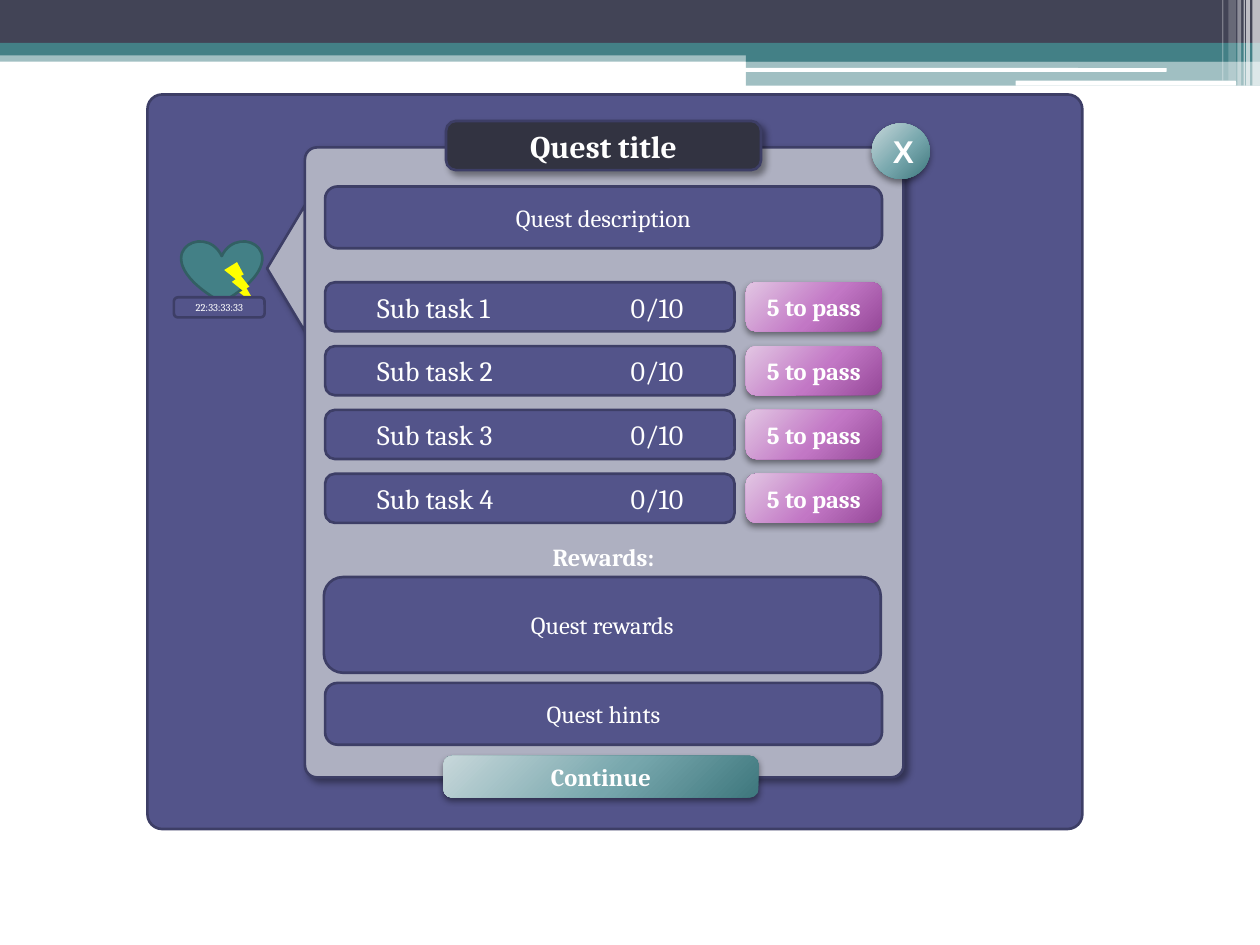
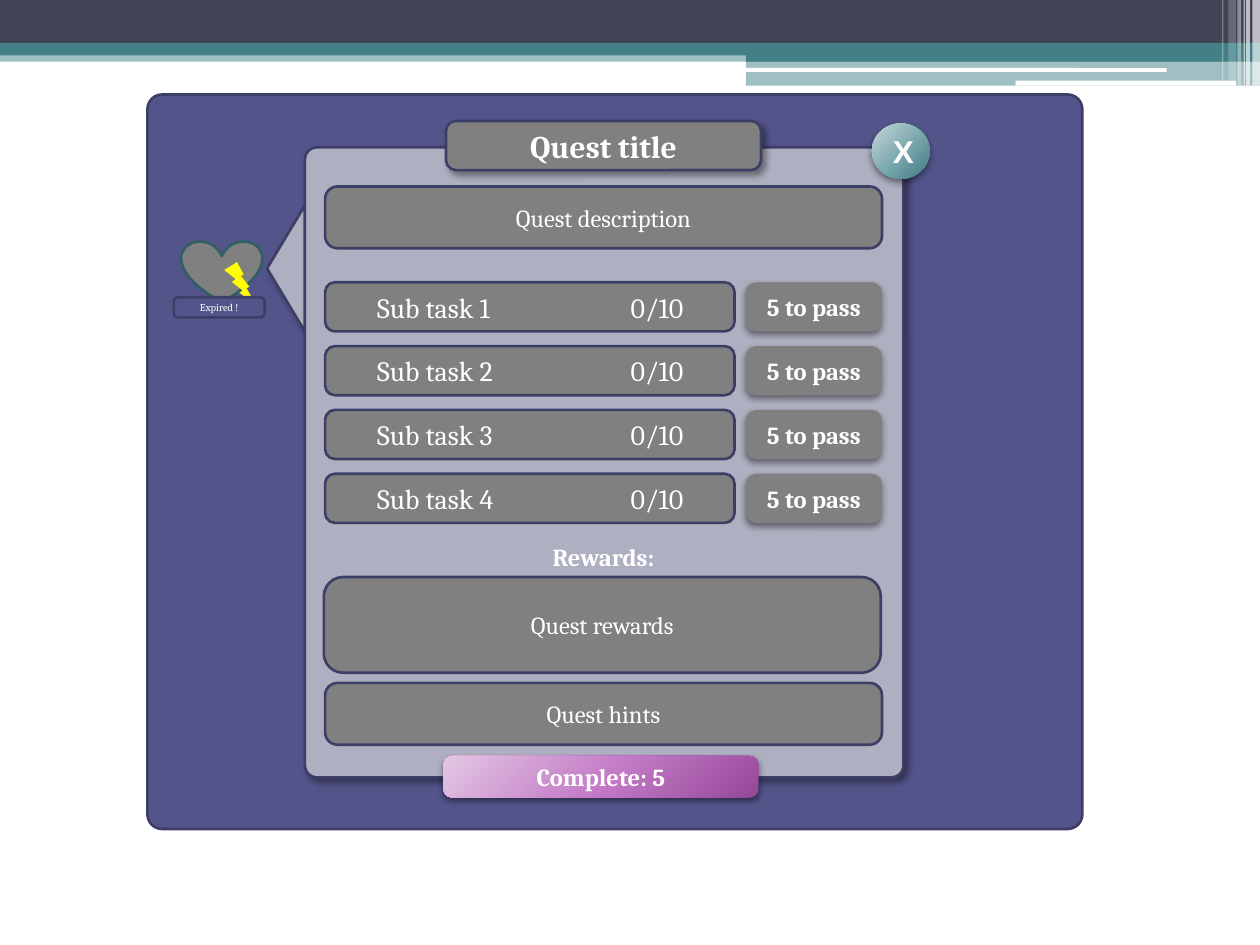
from dataclasses import dataclass
from typing import Optional, Union

from pptx import Presentation
from pptx.dml.color import RGBColor
from pptx.enum.shapes import MSO_SHAPE
from pptx.enum.text import MSO_ANCHOR, PP_ALIGN
from pptx.oxml import parse_xml
from pptx.oxml.ns import nsdecls, qn
from pptx.util import Inches, Pt

RECT = MSO_SHAPE.RECTANGLE
ROUND = MSO_SHAPE.ROUNDED_RECTANGLE
ELLIPSE = MSO_SHAPE.OVAL
TRIANGLE = MSO_SHAPE.ISOSCELES_TRIANGLE
HEART = MSO_SHAPE.HEART
BOLT = MSO_SHAPE.LIGHTNING_BOLT
MIDDLE = MSO_ANCHOR.MIDDLE
LEFT, CENTER = PP_ALIGN.LEFT, PP_ALIGN.CENTER

BLANK_LAYOUT = 6
Fill = Union[str, tuple[str, str, str], None]
Frame = tuple[float, float, float, float]


@dataclass(frozen=True)
class Theme:
    font: str = "Cambria"
    symbol_font: str = "Arial"
    white: str = "FFFFFF"
    black: str = "000000"
    slate: str = "424456"
    dark: str = "323341"
    indigo: str = "53548A"
    border: str = "3D3E66"
    panel: str = "AEB0C1"
    teal: str = "438086"
    teal_border: str = "325F63"
    gray: str = "808080"
    yellow: str = "FFFF00"
    teal_gradient: tuple[str, str, str] = ("C7D7DA", "77A7AD", "3E777D")
    purple_gradient: tuple[str, str, str] = ("E2C6E3", "C277C5", "954898")
    title_size: int = 18
    task_size: int = 16
    body_size: int = 14
    timer_size: int = 6
    line_width: float = 1.5


T = Theme()


@dataclass(frozen=True)
class Shadow:
    """Alpha in percent, blur and distance in points, direction in degrees."""
    alpha: int
    blur: int
    distance: int
    direction: int


@dataclass(frozen=True)
class Label:
    text: str
    size: int
    bold: bool = False
    font: str = T.font


@dataclass(frozen=True)
class Box:
    at: Frame
    fill: Fill
    kind: MSO_SHAPE = ROUND
    line: Optional[str] = None
    adj: Optional[float] = None
    alpha: int = 100
    rotation: int = 0
    shadow: Optional[Shadow] = None
    label: Optional[Label] = None


@dataclass(frozen=True)
class QuestState:
    title_fill: str
    field_fill: str
    pass_fill: Fill
    heart_fill: str
    action: str
    action_fill: Fill
    timer: str


PANEL_SHADOW = Shadow(40, 4, 3, 45)
BUTTON_SHADOW = Shadow(45, 4, 2, 90)
PANEL_ADJ, FIELD_ADJ, BAR_ADJ = 0.02, 0.2, 0.17

TASK_COUNT = 4
FIRST_TASK_TOP, LAST_TASK_TOP = 2.24, 3.76
TASK_PITCH = (LAST_TASK_TOP - FIRST_TASK_TOP) / (TASK_COUNT - 1)
TASK_INDENT, SCORE_TAB = 0.39, 2.43
FIELD_LEFT, FIELD_WIDTH = 2.58, 4.42

HEADER = [
    Box((0, 0.4, 10, 0.09), T.teal, RECT, alpha=50),
    Box((0, 0, 10, 0.34), T.slate, RECT),
    Box((0, 0.34, 10, 0.1), T.teal, RECT),
    Box((5.92, 0.39, 4.08, 0.1), T.teal, RECT),
    Box((5.92, 0.48, 4.08, 0.2), T.teal, RECT, alpha=50),
    Box((5.91, 0.54, 3.35, 0.03), T.white, adj=BAR_ADJ),
    Box((8.06, 0.64, 1.75, 0.04), T.white, adj=BAR_ADJ),
] + [
    Box((left, 0, width, height), T.white, RECT, alpha=alpha)
    for left, width, height, alpha in [
        (9.94, 0.06, 0.68, 65), (9.89, 0.03, 0.68, 65),
        (9.87, 0.01, 0.68, 60), (9.82, 0.03, 0.68, 40),
        (9.75, 0.06, 0.64, 20), (9.7, 0.01, 0.64, 30),
    ]
]

STATES = [
    QuestState(T.dark, T.indigo, T.purple_gradient, T.teal,
               "Continue", T.teal_gradient, "22:33:33:33"),
    QuestState(T.gray, T.gray, T.gray, T.gray,
               "Complete: 5", T.purple_gradient, "Expired !"),
]


def set_fill(sp, fill: Fill, alpha: int) -> None:
    if fill is None:
        sp.fill.background()
    elif isinstance(fill, str):
        sp.fill.solid()
        sp.fill.fore_color.rgb = RGBColor.from_string(fill)
        if alpha < 100:
            color = sp.element.spPr.find(qn("a:solidFill"))[0]
            color.append(parse_xml(
                f'<a:alpha {nsdecls("a")} val="{alpha * 1000}"/>'))
    else:
        stops = "".join(
            f'<a:gs pos="{pos * 1000}"><a:srgbClr val="{color}"/></a:gs>'
            for pos, color in zip((0, 55, 100), fill))
        gradient = parse_xml(
            f'<a:gradFill {nsdecls("a")} rotWithShape="1">'
            f'<a:gsLst>{stops}</a:gsLst><a:path path="circle">'
            '<a:fillToRect l="-40000" t="-90000" r="140000" b="190000"/>'
            '</a:path></a:gradFill>')
        sp.element.spPr.find(qn("a:prstGeom")).addnext(gradient)


def set_shadow(sp, shadow: Optional[Shadow]) -> None:
    sp.shadow.inherit = False
    if shadow:
        sp.element.spPr.find(qn("a:effectLst")).append(parse_xml(
            f'<a:outerShdw {nsdecls("a")} blurRad="{int(Pt(shadow.blur))}" '
            f'dist="{int(Pt(shadow.distance))}" '
            f'dir="{shadow.direction * 60000}" algn="tl" rotWithShape="0">'
            f'<a:srgbClr val="{T.black}">'
            f'<a:alpha val="{shadow.alpha * 1000}"/>'
            '</a:srgbClr></a:outerShdw>'))


def write_label(sp, label: Label) -> None:
    tf = sp.text_frame
    tf.word_wrap = True
    tf.vertical_anchor = MIDDLE
    p = tf.paragraphs[0]
    p.alignment = CENTER
    r = p.add_run()
    r.text = label.text
    r.font.name = label.font
    r.font.size = Pt(label.size)
    r.font.bold = label.bold
    r.font.color.rgb = RGBColor.from_string(T.white)


def draw(shapes, box: Box):
    sp = shapes.add_shape(box.kind, *(Inches(v) for v in box.at))
    if box.adj is not None:
        sp.adjustments[0] = box.adj
    sp.rotation = box.rotation
    set_fill(sp, box.fill, box.alpha)
    if box.line:
        sp.line.color.rgb = RGBColor.from_string(box.line)
        sp.line.width = Pt(T.line_width)
    else:
        sp.line.fill.background()
    set_shadow(sp, box.shadow)
    if box.label:
        write_label(sp, box.label)
    return sp


def field(at: Frame, fill: Fill, text: str, size: int = T.body_size) -> Box:
    return Box(at, fill, line=T.border, adj=FIELD_ADJ, label=Label(text, size))


def button(at: Frame, fill: Fill, text: str) -> Box:
    return Box(at, fill, adj=FIELD_ADJ, shadow=BUTTON_SHADOW,
               label=Label(text, T.body_size, True))


def draw_window(shapes, state: QuestState) -> None:
    title = Label("Quest title", T.title_size, True)
    close = Label("X", T.title_size, True, T.symbol_font)
    for box in [
        Box((1.17, 0.75, 7.42, 5.83), T.indigo, line=T.border, adj=PANEL_ADJ),
        Box((1.77, 1.98, 1, 0.3), T.panel, TRIANGLE, T.border, rotation=270,
            shadow=PANEL_SHADOW),
        Box((2.42, 1.17, 4.75, 5), T.panel, line=T.border, adj=PANEL_ADJ,
            shadow=PANEL_SHADOW),
        Box((3.54, 0.96, 2.5, 0.39), state.title_fill, line=T.border,
            adj=FIELD_ADJ, shadow=PANEL_SHADOW, label=title),
        Box((6.92, 0.98, 0.46, 0.44), T.teal_gradient, ELLIPSE,
            shadow=BUTTON_SHADOW, label=close),
    ]:
        draw(shapes, box)


def align_score(sp) -> None:
    """Start the task name at the indent and end its score at a right tab."""
    tf = sp.text_frame
    tf.margin_left = Inches(TASK_INDENT)
    tf.paragraphs[0].alignment = LEFT
    pPr = sp.element.txBody.find(qn("a:p")).get_or_add_pPr()
    pPr.append(parse_xml(
        f'<a:tabLst {nsdecls("a")}>'
        f'<a:tab pos="{int(Inches(SCORE_TAB))}" algn="r"/></a:tabLst>'))


def draw_tasks(shapes, state: QuestState) -> None:
    for i in range(TASK_COUNT):
        top = FIRST_TASK_TOP + i * TASK_PITCH
        align_score(draw(shapes, field(
            (FIELD_LEFT, top, 3.25, 0.39), state.field_fill,
            f"Sub task {i + 1}\t0/10", T.task_size)))
        draw(shapes, button((5.92, top, 1.08, 0.39), state.pass_fill,
                            "5 to pass"))


def draw_details(shapes, state: QuestState) -> None:
    for text, left, top, height in [
        ("Quest description", FIELD_LEFT, 1.48, 0.49),
        ("Quest rewards", 2.57, 4.58, 0.76),
        ("Quest hints", FIELD_LEFT, 5.42, 0.49),
    ]:
        draw(shapes, field((left, top, FIELD_WIDTH, height),
                           state.field_fill, text))
    draw(shapes, Box((FIELD_LEFT, 4.25, FIELD_WIDTH, 0.33), None,
                     adj=FIELD_ADJ,
                     label=Label("Rewards:", T.body_size, True)))
    draw(shapes, button((3.52, 6, 2.5, 0.33), state.action_fill, state.action))


def draw_energy(shapes, state: QuestState) -> None:
    icon = shapes.add_group_shape().shapes
    draw(icon, Box((1.44, 1.91, 0.64, 0.49), state.heart_fill, HEART,
                   T.teal_border))
    draw(icon, Box((1.78, 2.08, 0.26, 0.35), T.yellow, BOLT))
    draw(shapes, field((1.38, 2.36, 0.72, 0.16), T.indigo, state.timer,
                       T.timer_size))


def main() -> None:
    prs = Presentation()
    prs.slide_width, prs.slide_height = Inches(10), Inches(7.5)
    for state in STATES:
        s = prs.slides.add_slide(prs.slide_layouts[BLANK_LAYOUT])
        for box in HEADER:
            draw(s.shapes, box)
        draw_window(s.shapes, state)
        draw_tasks(s.shapes, state)
        draw_details(s.shapes, state)
        draw_energy(s.shapes, state)
    prs.save("out.pptx")


if __name__ == "__main__":
    main()
